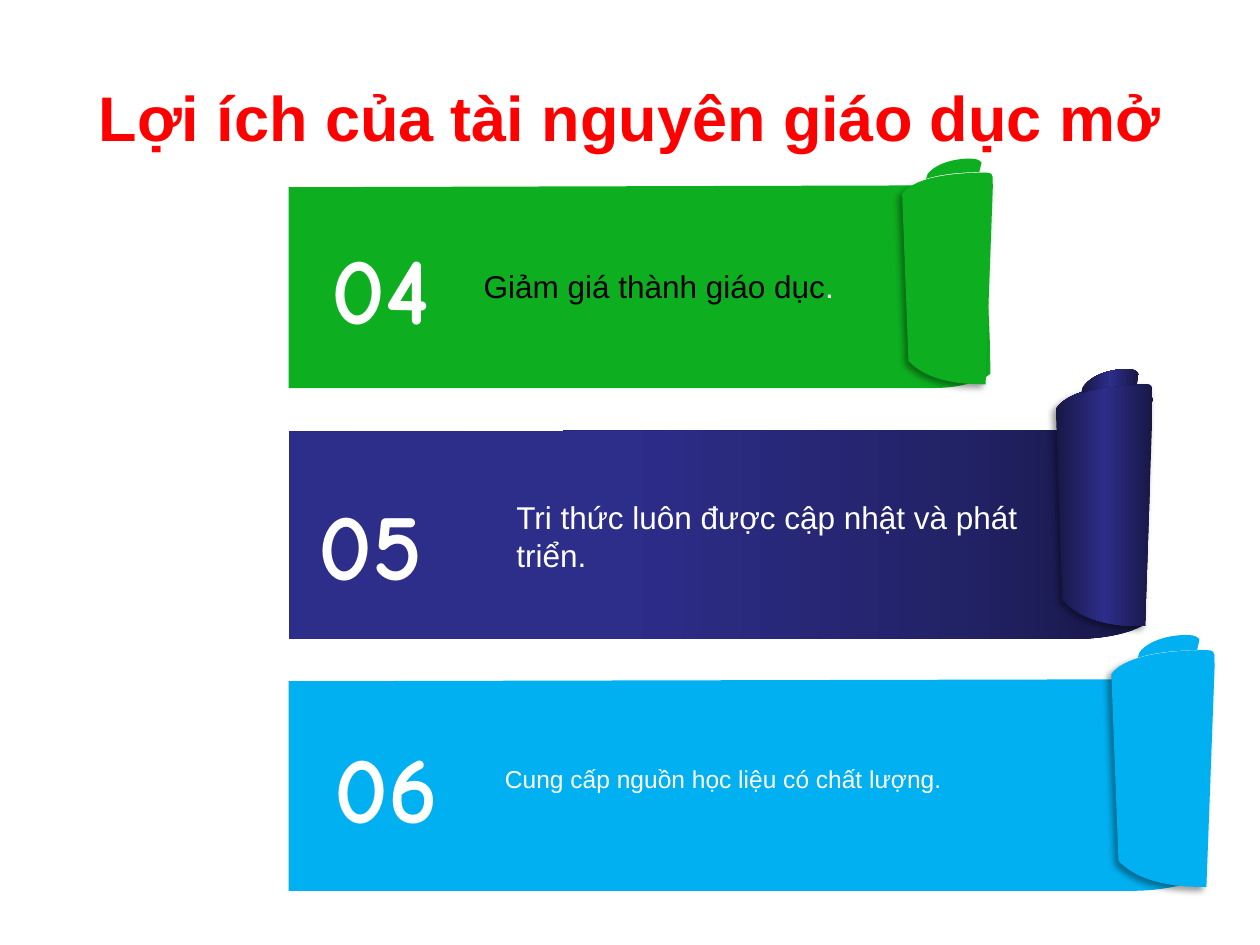
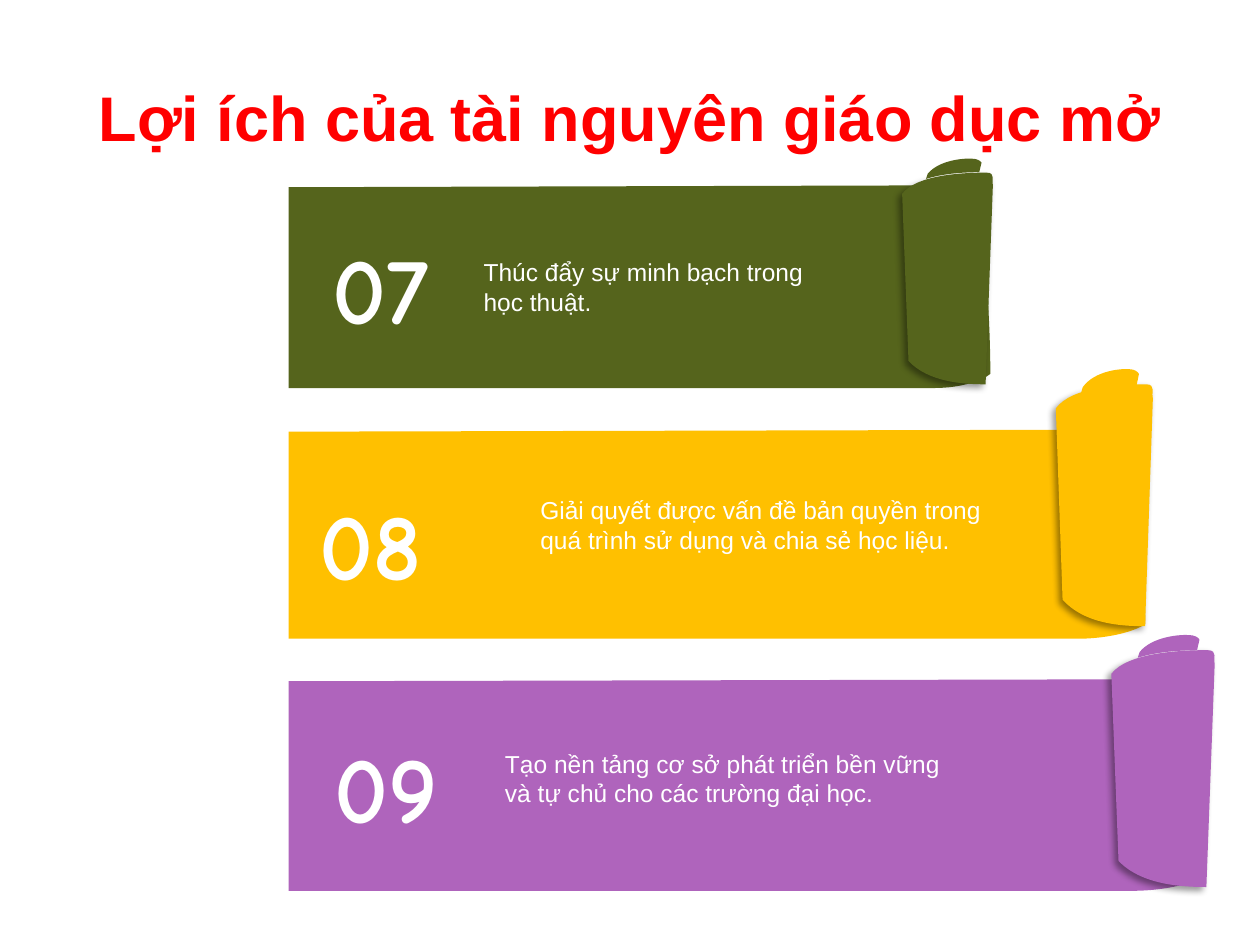
from copy import deepcopy
from dataclasses import dataclass

from lxml import etree
from pptx import Presentation
from pptx.dml.color import RGBColor
from pptx.enum.text import MSO_ANCHOR, MSO_AUTO_SIZE, PP_ALIGN
from pptx.oxml.ns import qn
from pptx.util import Inches, Pt

MIDDLE = MSO_ANCHOR.MIDDLE
CENTER = PP_ALIGN.CENTER
LEFT = PP_ALIGN.LEFT
GROW = MSO_AUTO_SIZE.SHAPE_TO_FIT_TEXT
TITLE_ONLY = 5


@dataclass(frozen=True)
class Theme:
    font: str = "Arial"
    numeral_font: str = "Comic Neue"
    title_size: int = 36
    numeral_size: int = 54
    large: int = 18
    small: int = 14
    red: str = "FF0000"
    white: str = "FFFFFF"
    black: str = "000000"
    green: str = "0DAF20"
    sky: str = "00B0F0"
    olive: str = "55641C"
    amber: str = "FFC000"
    violet: str = "AF64BC"
    navy_sheet: tuple = ((0, "171745"), (0.22, "222267"), (0.61, "2D2D8A"))
    navy_roll: tuple = ((0, "171745"), (0.5, "2D2D8A"), (1, "171745"))


THEME = Theme()
TITLE = "Lợi ích của tài nguyên giáo dục mở"
TITLE_BOX = (0.5, 0.3, 9, 1.25)
NUMERAL_SIZE = (1.13, 1.01)

SHEET = [
    [(0, 0.01)], [(0, 1)], [(0.92, 1)],
    [(0.96, 1), (0.99, 0.96), (1, 0.93)],
    [(1, 0.62), (0.99, 0.31), (0.99, 0)],
]
ROLL = [
    [(0.92, 1)],
    [(0.67, 1), (0.29, 0.99), (0.07, 0.89)],
    [(0, 0.1)],
    [(0.16, 0.01), (0.67, 0), (0.93, 0)],
    [(1.04, 0), (0.98, 0.04), (1, 0.06)],
]
CURL = [
    [(0, 1)], [(0.03, 0.75)],
    [(0.24, 0.05), (0.7, -0.03), (0.83, 0)],
    [(0.92, 0), (0.98, 0.1), (1, 0.2)],
    [(0.96, 0.67)],
    [(0.72, 0.67), (0.33, 0.72), (0, 1)],
]


@dataclass(frozen=True)
class Ribbon:
    sheet: tuple
    roll: tuple
    curl: tuple
    numeral_corner: tuple


RIBBONS = [
    Ribbon((2.29, 1.47, 5.57, 1.61), (7.16, 1.37, 0.72, 1.68),
           (7.35, 1.26, 0.44, 0.16), (2.46, 1.77)),
    Ribbon((2.29, 3.41, 6.8, 1.66), (8.38, 3.05, 0.77, 1.92),
           (8.58, 2.93, 0.46, 0.19), (2.38, 3.8)),
    Ribbon((2.29, 5.39, 7.27, 1.68), (8.82, 5.16, 0.82, 1.88),
           (9.03, 5.04, 0.49, 0.18), (2.5, 5.73)),
]


@dataclass(frozen=True)
class Benefit:
    words: str
    box: tuple
    sheet_paint: object
    roll_paint: object
    size: int = THEME.small
    color: str = THEME.white
    white_ending: str = ""


BENEFIT_SLIDES = [
    [
        Benefit("Giảm giá thành giáo dục", (3.74, 2.07, 3.08, 0.4),
                THEME.green, THEME.green, THEME.large, THEME.black, "."),
        Benefit("Tri thức luôn được cập nhật và phát triển.", (4, 3.9, 4.77, 0.71),
                THEME.navy_sheet, THEME.navy_roll, THEME.large),
        Benefit("Cung cấp nguồn học liệu có chất lượng.", (3.91, 6.01, 4.46, 0.34),
                THEME.sky, THEME.sky),
    ],
    [
        Benefit("Thúc đẩy sự minh bạch trong học thuật.", (3.74, 1.99, 2.87, 0.57),
                THEME.olive, THEME.olive),
        Benefit("Giải quyết được vấn đề bản quyền trong\n"
                "quá trình sử dụng và chia sẻ học liệu.", (4.19, 3.88, 4.46, 0.57),
                THEME.amber, THEME.amber),
        Benefit("Tạo nền tảng cơ sở phát triển bền vững\n"
                "và tự chủ cho các trường đại học.", (3.91, 5.89, 4.46, 0.57),
                THEME.violet, THEME.violet),
    ],
]


def apply_paint(fill, paint):
    if isinstance(paint, str):
        fill.solid()
        fill.fore_color.rgb = RGBColor.from_string(paint)
        return
    fill.gradient()
    fill.gradient_angle = 180
    stop_list = fill._fill._gradFill.find(qn("a:gsLst"))
    for _ in paint[len(stop_list):]:
        stop_list.append(deepcopy(stop_list[0]))
    for stop, (position, color) in zip(fill.gradient_stops, paint):
        stop.position = position
        stop.color.rgb = RGBColor.from_string(color)


def bend_edges(piece, outline, width, height):
    edges = list(piece.element.iter(qn("a:lnTo")))
    for edge, segment in zip(edges, outline[1:]):
        if len(segment) == 1:
            continue
        curve = etree.Element(qn("a:cubicBezTo"))
        for x, y in segment:
            etree.SubElement(curve, qn("a:pt"), x=str(Inches(x * width)),
                             y=str(Inches(y * height)))
        edge.getparent().replace(edge, curve)


def add_outline(shapes, outline, box, paint):
    left, top, width, height = box
    corners = [(Inches(left + x * width), Inches(top + y * height))
               for x, y in (segment[-1] for segment in outline)]
    builder = shapes.build_freeform(*corners[0])
    builder.add_line_segments(corners[1:])
    piece = builder.convert_to_shape()
    bend_edges(piece, outline, width, height)
    piece.shadow.inherit = False
    apply_paint(piece.fill, paint)
    piece.line.fill.background()
    return piece


def cast_shadow(piece):
    effects = piece.element.spPr.find(qn("a:effectLst"))
    shadow = etree.SubElement(effects, qn("a:outerShdw"), blurRad=str(Pt(4)),
                              dist=str(Pt(3)), dir=str(135 * 60000),
                              algn="tr", rotWithShape="0")
    color = etree.SubElement(shadow, qn("a:srgbClr"), val=THEME.black)
    etree.SubElement(color, qn("a:alpha"), val="40000")


def add_ribbon(slide, ribbon, benefit):
    add_outline(slide.shapes, SHEET, ribbon.sheet, benefit.sheet_paint)
    scroll = slide.shapes.add_group_shape().shapes
    cast_shadow(add_outline(scroll, ROLL, ribbon.roll, benefit.roll_paint))
    add_outline(scroll, CURL, ribbon.curl, benefit.roll_paint)


def style(font, size, color, name=THEME.font, bold=False):
    font.size = Pt(size)
    font.name = name
    font.bold = bold
    font.color.rgb = RGBColor.from_string(color)


def add_words(slide, words, box, size, color, align=LEFT, wrap=True, **face):
    frame = slide.shapes.add_textbox(*map(Inches, box)).text_frame
    frame.text = words
    frame.word_wrap = wrap
    frame.auto_size = GROW
    frame.vertical_anchor = MIDDLE
    for paragraph in frame.paragraphs:
        paragraph.alignment = align
        style(paragraph.font, size, color, **face)
    return frame


def add_title(slide):
    title = slide.shapes.title
    title.left, title.top, title.width, title.height = map(Inches, TITLE_BOX)
    title.text_frame.text = TITLE
    title.text_frame.vertical_anchor = MIDDLE
    heading = title.text_frame.paragraphs[0]
    heading.alignment = CENTER
    style(heading.font, THEME.title_size, THEME.red, bold=True)


def add_numeral(slide, number, corner):
    add_words(slide, f"{number:02}", corner + NUMERAL_SIZE,
              THEME.numeral_size, THEME.white, CENTER, wrap=False,
              name=THEME.numeral_font, bold=True)


def add_benefit_words(slide, benefit):
    frame = add_words(slide, benefit.words, benefit.box, benefit.size, benefit.color)
    if benefit.white_ending:
        ending = frame.paragraphs[-1].add_run()
        ending.text = benefit.white_ending
        ending.font.color.rgb = RGBColor.from_string(THEME.white)


def main():
    deck = Presentation()
    deck.slide_width, deck.slide_height = Inches(10), Inches(7.5)
    first_number = 4
    for benefits in BENEFIT_SLIDES:
        slide = deck.slides.add_slide(deck.slide_layouts[TITLE_ONLY])
        add_title(slide)
        for ribbon, benefit in zip(RIBBONS, benefits):
            add_ribbon(slide, ribbon, benefit)
        for number, ribbon in enumerate(RIBBONS, first_number):
            add_numeral(slide, number, ribbon.numeral_corner)
        for benefit in benefits:
            add_benefit_words(slide, benefit)
        first_number += len(benefits)
    deck.save("out.pptx")


if __name__ == "__main__":
    main()
